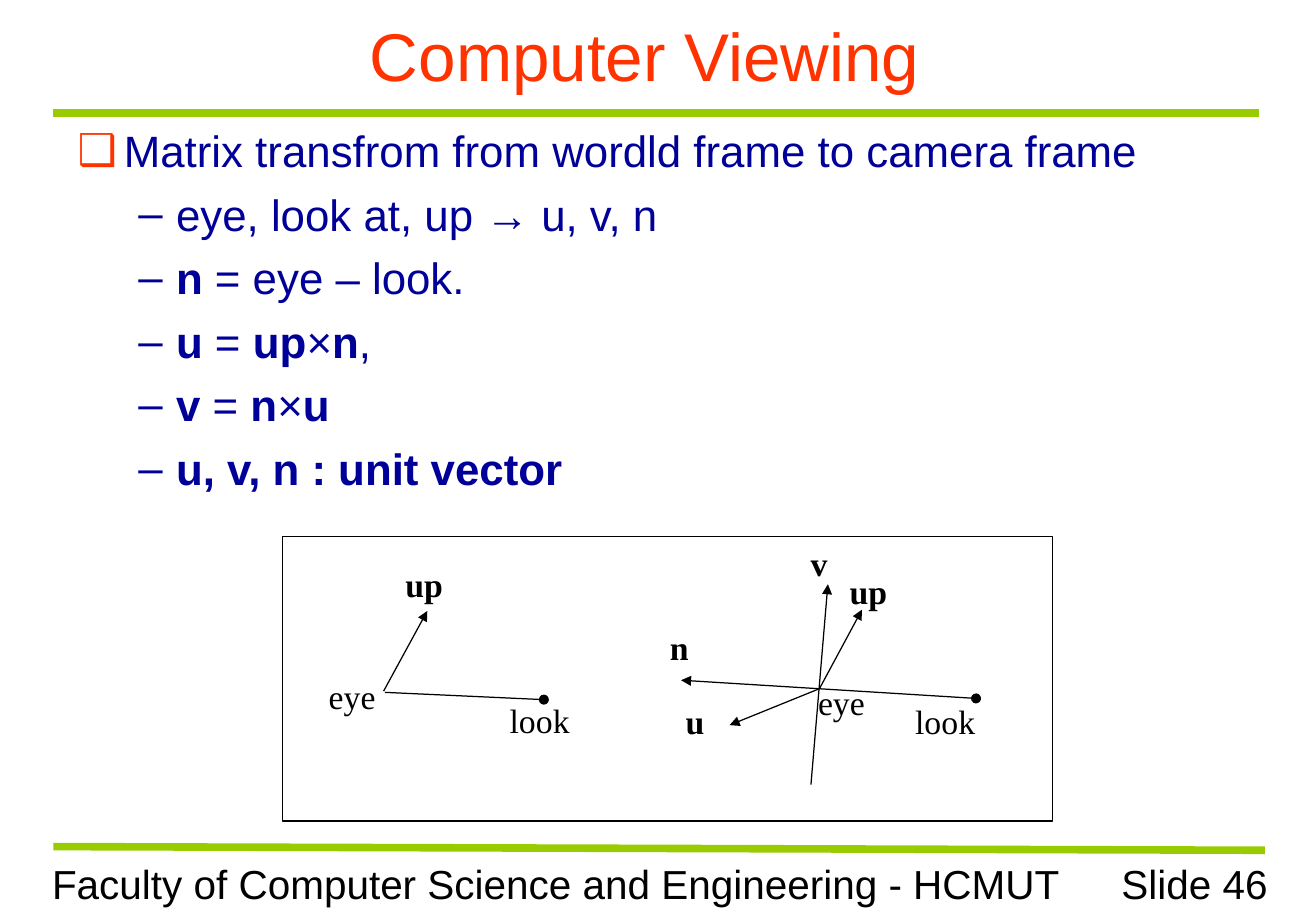
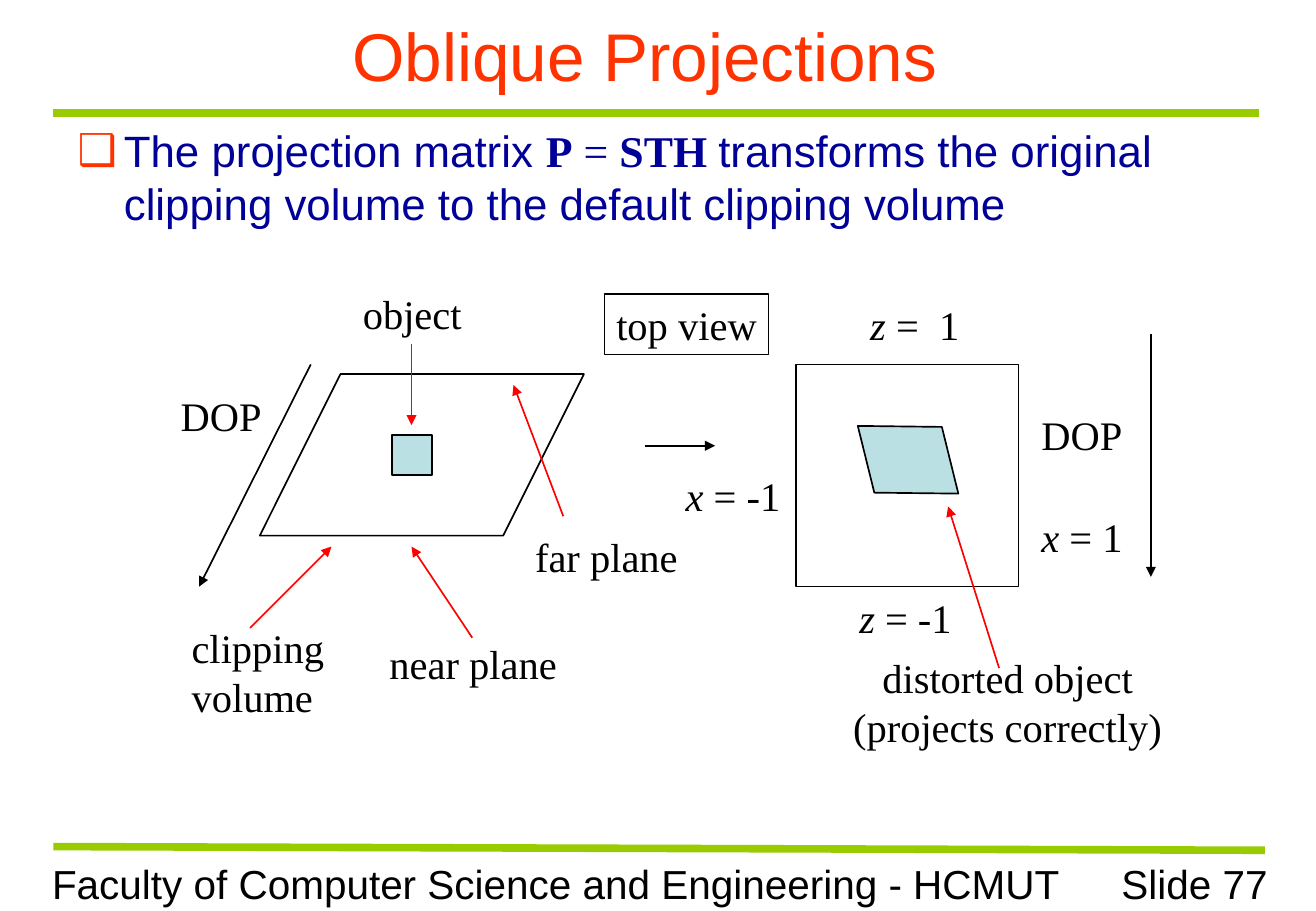
from dataclasses import dataclass

from lxml import etree
from pptx import Presentation
from pptx.dml.color import RGBColor
from pptx.enum import shapes, text
from pptx.oxml import ns
from pptx.util import Inches, Pt


@dataclass(frozen=True)
class Theme:
    title_color: str = "FF3300"
    body_color: str = "000099"
    rule_color: str = "99CC00"
    ink: str = "000000"
    pointer: str = "FF0000"
    object_fill: str = "BBE0E3"
    sans: str = "Arial"
    serif: str = "Times New Roman"
    title_size: float = 40
    body_size: float = 26
    label_size: float = 24
    small_label_size: float = 20
    body_gap: float = 6.5
    rule_width: float = 4.5
    thin: float = 0.75
    line: float = 1


THEME = Theme()
FOOTER = "Faculty of Computer Science and Engineering - HCMUT"
# Bullet character, its colour, left margin and hanging indent by level
BULLETS = (
    ("❑", THEME.title_color, 0.38, 0.38),
    ("–", THEME.body_color, 0.81, 0.31),
)
BOLD = {"bold": True}
ITALIC = {"italic": True}


def rgb(color):
    return RGBColor.from_string(color)


def add_child(parent, tag, **attributes):
    return etree.SubElement(parent, ns.qn(tag), **attributes)


def write(para, content, *, font=THEME.serif, size=THEME.label_size,
          color=THEME.ink, bold=False, italic=False, align=None):
    """Fill a paragraph with a string or with (string, overrides) spans."""
    if align is not None:
        para.alignment = align
    spans = [(content, {})] if isinstance(content, str) else content
    for words, overrides in spans:
        style = {"font": font, "bold": bold, "italic": italic, **overrides}
        span = para.add_run()
        span.text = words
        span.font.name = style["font"]
        span.font.size = Pt(size)
        span.font.bold = style["bold"]
        span.font.italic = style["italic"]
        span.font.color.rgb = rgb(color)


def place(box, left, top, width, height):
    box.left, box.top = Inches(left), Inches(top)
    box.width, box.height = Inches(width), Inches(height)


def label(page, at, *lines, **style):
    frame = page.shapes.add_textbox(*map(Inches, at)).text_frame
    frame.word_wrap = True
    for index, line in enumerate(lines):
        para = frame.add_paragraph() if index else frame.paragraphs[0]
        write(para, line, **style)


def outline(page, kind, at, *, fill=None, width=THEME.line, adjust=None,
            rotation=0):
    shape = page.shapes.add_shape(kind, *map(Inches, at))
    shape.shadow.inherit = False
    if fill:
        shape.fill.solid()
        shape.fill.fore_color.rgb = rgb(fill)
    else:
        shape.fill.background()
    shape.line.color.rgb = rgb(THEME.ink)
    shape.line.width = Pt(width)
    if adjust is not None:
        shape.adjustments[0] = adjust
    shape.rotation = rotation
    return shape


def segment(page, start, end, *, color=THEME.ink, width=THEME.line,
            head=None, tail="triangle"):
    line = page.shapes.add_connector(
        shapes.MSO_CONNECTOR.STRAIGHT, *map(Inches, (*start, *end)))
    line.line.color.rgb = rgb(color)
    line.line.width = Pt(width)
    properties = line.line._get_or_add_ln()
    for tag, kind in (("a:headEnd", head), ("a:tailEnd", tail)):
        if kind:
            add_child(properties, tag, type=kind)
    add_child(line._element.spPr, "a:effectLst")


def add_page(deck, title, number):
    """Add a page with the title, rules and footer that all pages share."""
    page = deck.slides.add_slide(deck.slide_layouts[1])
    for start, end in (((0.44, 0.93), (10.37, 0.93)),
                       ((0.44, 6.97), (10.42, 7))):
        segment(page, start, end, color=THEME.rule_color,
                width=THEME.rule_width, tail=None)
    label(page, (0.33, 7.02, 8.52, 0.5), FOOTER, font=THEME.sans)
    label(page, (8.55, 7.02, 1.99, 0.5), f"Slide {number}",
          font=THEME.sans, align=text.PP_ALIGN.RIGHT)
    heading = page.shapes.title
    place(heading, 0.33, 0.1, 9.96, 0.7)
    frame = heading.text_frame
    frame.auto_size = text.MSO_AUTO_SIZE.NONE
    frame.vertical_anchor = text.MSO_ANCHOR.MIDDLE
    write(frame.paragraphs[0], title, font=THEME.sans, size=THEME.title_size,
          color=THEME.title_color, align=text.PP_ALIGN.CENTER)
    return page


def bullet_list(page, height, items):
    """Fill the body placeholder with (level, content) items."""
    body = page.placeholders[1]
    place(body, 0.54, 0.97, 9.75, height)
    frame = body.text_frame
    frame.auto_size = text.MSO_AUTO_SIZE.NONE
    for index, (level, content) in enumerate(items):
        para = frame.add_paragraph() if index else frame.paragraphs[0]
        para.level = level
        para.space_before = Pt(THEME.body_gap if index else 0)
        mark, color, margin, hanging = BULLETS[level]
        properties = para._p.get_or_add_pPr()
        properties.set("marL", str(Inches(margin)))
        properties.set("indent", str(-Inches(hanging)))
        add_child(add_child(properties, "a:buClr"), "a:srgbClr", val=color)
        add_child(properties, "a:buFont", typeface=THEME.sans)
        add_child(properties, "a:buChar", char=mark)
        write(para, content, font=THEME.sans, size=THEME.body_size,
              color=THEME.body_color)


def viewing_page(deck):
    page = add_page(deck, "Computer Viewing", 46)
    bullet_list(page, 3.2, [
        (0, "Matrix transfrom from wordld frame to camera frame"),
        (1, "eye, look at, up → u, v, n"),
        (1, [("n", BOLD), (" = eye – look.", {})]),
        (1, [("u", BOLD), (" = ", {}), ("up", BOLD), ("×", {}), ("n", BOLD),
             (",", {})]),
        (1, [("v ", BOLD), ("= ", {}), ("n", BOLD), ("×", {}), ("u", BOLD)]),
        (1, [("u, v, n : unit vector", BOLD)]),
    ])
    outline(page, shapes.MSO_SHAPE.RECTANGLE, (2.33, 4.42, 6.34, 2.34),
            width=THEME.thin)
    eye = (6.75, 5.67)
    for start, end, ends in (
        ((3.16, 5.69), (3.52, 5.03), {}),
        ((3.17, 5.7), (4.48, 5.76), {"tail": "oval"}),
        ((6.68, 6.46), (6.82, 4.81), {}),
        ((8.04, 5.75), (5.61, 5.6), {"head": "oval"}),
        (eye, (7.1, 5.02), {}),
        (eye, (6.01, 5.97), {}),
    ):
        segment(page, start, end, width=THEME.thin, **ends)
    for words, left, top, bold in (
        ("up", 3.24, 4.59, True),
        ("up", 6.9, 4.65, True),
        ("v", 6.58, 4.42, True),
        ("n", 5.42, 5.11, True),
        ("u", 5.55, 5.72, True),
        ("eye", 2.61, 5.51, False),
        ("eye", 6.64, 5.56, False),
        ("look", 7.44, 5.72, False),
        ("look", 4.1, 5.71, False),
    ):
        label(page, (left, top, 0.96, 0.62), words,
              size=THEME.small_label_size, bold=bold)


def projection_page(deck):
    page = add_page(deck, "Oblique Projections", 77)
    serif = {"font": THEME.serif}
    bullet_list(page, 1.03, [(0, [
        ("The projection matrix ", {}),
        ("P", {**serif, **BOLD}),
        (" = ", serif),
        ("STH ", {**serif, **BOLD}),
        ("transforms the original clipping volume to the default "
         "clipping volume", {}),
    ])])
    kinds = shapes.MSO_SHAPE
    outline(page, kinds.PARALLELOGRAM, (2.14, 3.08, 2.67, 1.33), adjust=0.5)
    outline(page, kinds.RECTANGLE, (6.56, 3, 1.83, 1.83))
    outline(page, kinds.RECTANGLE, (3.23, 3.58, 0.33, 0.33),
            fill=THEME.object_fill)
    outline(page, kinds.PARALLELOGRAM, (7.11, 3.45, 0.74, 0.67),
            fill=THEME.object_fill, adjust=0.26, rotation=256.1)
    for start, end in (
        ((5.31, 3.67), (5.89, 3.67)),
        ((2.56, 3), (1.64, 4.83)),
        ((9.48, 2.75), (9.48, 4.75)),
    ):
        segment(page, start, end)
    for start, end in (
        ((3.89, 5.25), (3.39, 4.5)),
        ((4.64, 4.25), (4.23, 3.17)),
        ((3.39, 2.83), (3.39, 3.5)),
        ((2.06, 5.17), (2.73, 4.5)),
        ((8.23, 5.5), (7.81, 4.17)),
    ):
        segment(page, start, end, color=THEME.pointer)
    view_frame = outline(page, kinds.RECTANGLE,
                         (4.98, 2.42, 1.35, 0.5)).text_frame
    view_frame.margin_left = view_frame.margin_right = 0
    view_frame.vertical_anchor = text.MSO_ANCHOR.MIDDLE
    write(view_frame.paragraphs[0], "top view", align=text.PP_ALIGN.CENTER)
    for words, left, top, width in (
        ("DOP", 1.39, 3.17, 1.1),
        ("DOP", 8.48, 3.33, 1.1),
        ("near plane", 3.11, 5.21, 1.8),
        ("far plane", 4.31, 4.33, 1.6),
        ("object", 2.89, 2.33, 1.2),
        ([("z", ITALIC), (" = -1", {})], 6.98, 4.83, 1.2),
        ([("z", ITALIC), (" =  1", {})], 7.07, 2.42, 1.2),
        ([("x", ITALIC), (" = -1", {})], 5.55, 3.83, 1.2),
        ([("x", ITALIC), (" = 1", {})], 8.48, 4.17, 1.1),
    ):
        label(page, (left, top, width, 0.5), words)
    label(page, (1.48, 5.08, 1.5, 0.9), "clipping", "volume")
    label(page, (6.8, 5.33, 3, 0.9), "distorted object",
          "(projects correctly)", align=text.PP_ALIGN.CENTER)


def main():
    deck = Presentation()
    deck.slide_width, deck.slide_height = Inches(10.84), Inches(7.5)
    viewing_page(deck)
    projection_page(deck)
    deck.save("out.pptx")


if __name__ == "__main__":
    main()
